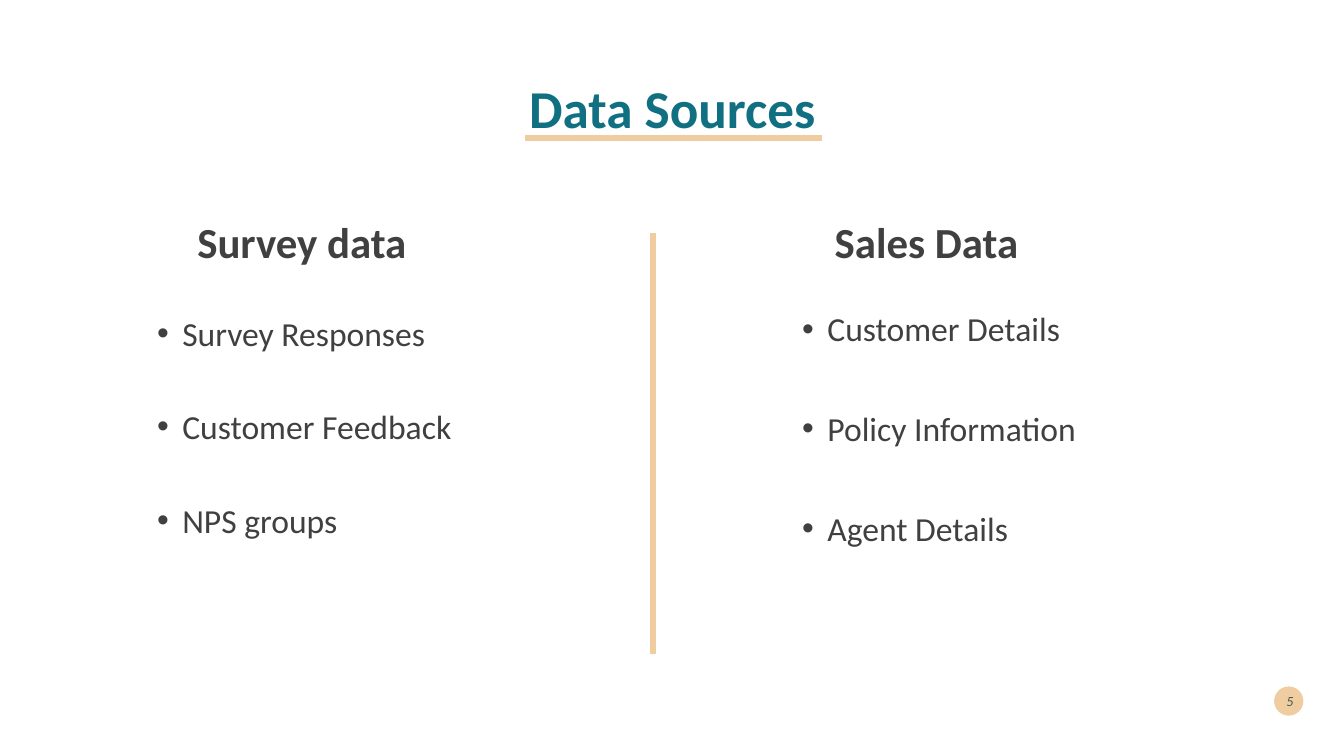
from dataclasses import dataclass

from lxml import etree
from pptx import Presentation
from pptx.dml.color import RGBColor
from pptx.enum.shapes import MSO_CONNECTOR, MSO_SHAPE
from pptx.enum.text import MSO_ANCHOR, PP_ALIGN
from pptx.oxml.ns import qn
from pptx.slide import Slide
from pptx.util import Emu, Inches, Pt

LEFT, CENTER, RIGHT = PP_ALIGN.LEFT, PP_ALIGN.CENTER, PP_ALIGN.RIGHT
TOP, MIDDLE, BOTTOM = MSO_ANCHOR.TOP, MSO_ANCHOR.MIDDLE, MSO_ANCHOR.BOTTOM
STRAIGHT, OVAL = MSO_CONNECTOR.STRAIGHT, MSO_SHAPE.OVAL

COLS, ROWS = 160, 90
SLIDE_W, SLIDE_H = Inches(40 / 3), Inches(7.5)
FONT = "Calibri"
COLORS = {"title": "107082", "text": "404040", "accent": "F0CDA1", "number": "00292E"}


@dataclass(frozen=True)
class Box:
    col: float
    row: float
    cols: float
    rows: float

    def emu(self) -> tuple[Emu, Emu, Emu, Emu]:
        return x(self.col), y(self.row), x(self.cols), y(self.rows)


@dataclass(frozen=True)
class Source:
    heading: str
    heading_box: Box
    items: tuple[str, ...]
    items_box: Box
    spacing: float
    gap: float


@dataclass(frozen=True)
class Rule:
    col1: float
    row1: float
    col2: float
    row2: float


SOURCES = (
    Source("Survey data", Box(1.92, 20.88, 68.04, 10.8),
           ("Survey Responses", "Customer Feedback", "NPS groups"),
           Box(17.52, 36.6, 52.68, 34.92), 1.0, 38.2),
    Source("Sales Data ", Box(77.04, 20.88, 67.68, 10.8),
           ("Customer Details", "Policy Information", "Agent Details"),
           Box(94.32, 36.6, 43.32, 36.48), 0.9, 45.4),
)
RULES = (Rule(62.52, 16.44, 97.8, 16.44), Rule(77.76, 27.72, 77.76, 77.88))


def x(cols: float) -> Emu:
    return Emu(round(SLIDE_W * cols / COLS))


def y(rows: float) -> Emu:
    return Emu(round(SLIDE_H * rows / ROWS))


def rgb(name: str) -> RGBColor:
    return RGBColor.from_string(COLORS[name])


def add_text(s: Slide, box: Box, *lines: str, size: float, color: str = "text",
             bold: bool = False, italic: bool = False, align: PP_ALIGN = LEFT,
             anchor: MSO_ANCHOR = TOP, spacing: float = 1.0, gap: float = 0,
             bullet: bool = False, bottom: float = 0.05, alpha: int = 100) -> None:
    tf = s.shapes.add_textbox(*box.emu()).text_frame
    tf.word_wrap = True
    tf.vertical_anchor = anchor
    tf.margin_bottom = Inches(bottom)
    for i, line in enumerate(lines):
        p = tf.paragraphs[0] if i == 0 else tf.add_paragraph()
        p.alignment = align
        p.line_spacing = spacing
        p.space_before = Pt(gap if i else 0)
        if bullet:
            pPr = p._p.get_or_add_pPr()
            pPr.set("marL", str(Inches(0.25)))
            pPr.set("indent", str(-Inches(0.25)))
            etree.SubElement(pPr, qn("a:buFont"), typeface="Arial")
            etree.SubElement(pPr, qn("a:buChar"), char="•")
        r = p.add_run()
        r.text = line
        r.font.name, r.font.size = FONT, Pt(size)
        r.font.bold, r.font.italic = bold, italic
        r.font.color.rgb = rgb(color)
        if alpha < 100:
            clr = r._r.find(".//" + qn("a:srgbClr"))
            etree.SubElement(clr, qn("a:alpha"), val=str(alpha * 1000))


def add_rule(s: Slide, rule: Rule) -> None:
    line = s.shapes.add_connector(STRAIGHT, x(rule.col1), y(rule.row1),
                                  x(rule.col2), y(rule.row2))
    line.line.color.rgb = rgb("accent")
    line.line.width = Pt(4.32)
    etree.SubElement(line._element.spPr, qn("a:effectLst"))


def add_page_number(s: Slide, number: str) -> None:
    sp = s.shapes.add_shape(OVAL, *Box(151.68, 81.72, 3.48, 3.48).emu())
    sp.shadow.inherit = False
    sp.fill.solid()
    sp.fill.fore_color.rgb = rgb("accent")
    sp.line.fill.background()
    add_text(s, Box(150.48, 81, 4.68, 4.8), number, size=10, color="number",
             italic=True, align=RIGHT, anchor=MIDDLE, alpha=70)


def add_source(s: Slide, source: Source) -> None:
    add_text(s, source.heading_box, source.heading, size=30.6, bold=True,
             align=CENTER, anchor=BOTTOM, spacing=0.7, bottom=0)
    add_text(s, source.items_box, *source.items, size=24, bullet=True,
             spacing=source.spacing, gap=source.gap)


def main() -> None:
    prs = Presentation()
    prs.slide_width, prs.slide_height = SLIDE_W, SLIDE_H
    s = prs.slides.add_slide(prs.slide_layouts[6])
    add_text(s, Box(11.04, 4.44, 138, 17.52), "Data Sources", size=38, color="title",
             bold=True, align=CENTER, anchor=MIDDLE, spacing=0.9)
    for rule in RULES:
        add_rule(s, rule)
    for source in SOURCES:
        add_source(s, source)
    add_page_number(s, "5")
    prs.save("out.pptx")


if __name__ == "__main__":
    main()
